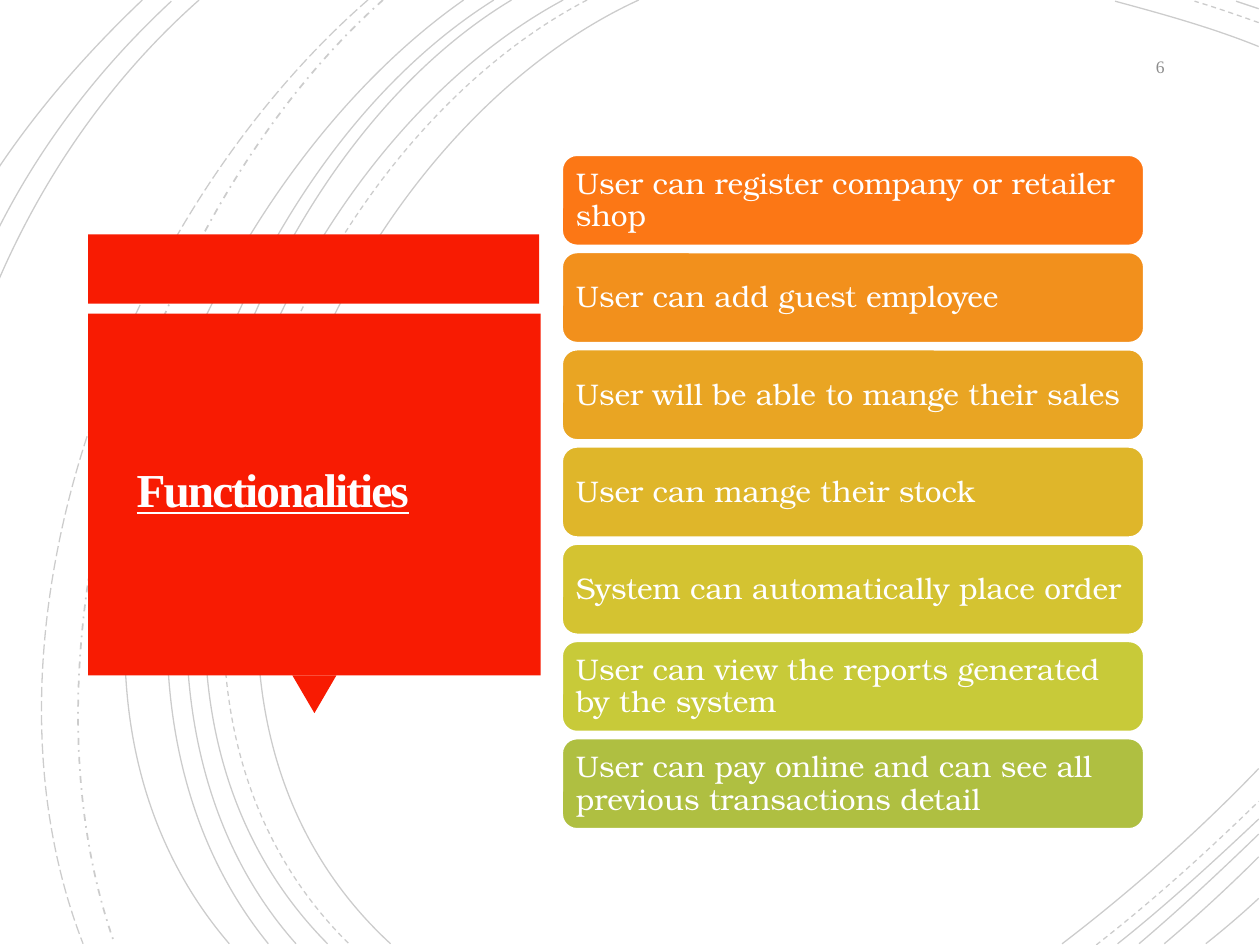
from dataclasses import dataclass
from typing import NamedTuple

from lxml import etree
from pptx import Presentation
from pptx.dml.color import RGBColor
from pptx.enum import shapes, text
from pptx.oxml import ns
from pptx.util import Inches, Pt


@dataclass(frozen=True)
class Theme:
    red: str = "F81B02"
    white: str = "FFFFFF"
    title: str = "FFFEFF"
    gray: str = "8C8C8C"
    arc: str = "000000"
    serif: str = "Times New Roman"
    body: str = "TeX Gyre Bonum"
    big: int = 27
    mid: int = 17
    small: int = 10


class Arc(NamedTuple):
    nodes: tuple  # start, two controls, end
    dash: str = "solid"
    width: float = 0.75


class Box(NamedTuple):
    kind: int
    left: float
    top: float
    width: float
    height: float
    turn: int = 0


class Card(NamedTuple):
    words: str
    fill: str


THEME = Theme()
KIND = shapes.MSO_SHAPE

ARCS = [
    Arc(((5.07, 0), (2.56, 1.15), (0.83, 5.4), (3.1, 7.49))),
    Arc(((9.99, 0.37), (9.62, 0.22), (9.22, 0.11), (8.85, 0.01))),
    Arc(((8.43, 7.49), (8.98, 7.07), (9.51, 6.6), (9.99, 6.1))),
    Arc(((4.66, 0), (2.26, 1.25), (0.63, 5.38), (2.77, 7.49)), "dash"),
    Arc(((9.99, 0.18), (9.82, 0.12), (9.65, 0.06), (9.48, 0.01)), "dash"),
    Arc(((8.7, 7.5), (9.15, 7.15), (9.58, 6.76), (9.99, 6.36)), "dash"),
    Arc(((4.47, 0), (2.11, 1.27), (0.5, 5.37), (2.6, 7.49))),
    Arc(((9.99, 0.07), (9.93, 0.05), (9.87, 0.03), (9.81, 0.01))),
    Arc(((8.87, 7.49), (9.26, 7.18), (9.63, 6.84), (9.99, 6.5))),
    Arc(((4.06, 0), (1.85, 1.33), (0.5, 5.41), (2.35, 7.49))),
    Arc(((9.04, 7.49), (9.37, 7.21), (9.68, 6.92), (9.99, 6.62))),
    Arc(((3.92, 0), (1.72, 1.38), (0.38, 5.34), (2.13, 7.49))),
    Arc(((9.24, 7.49), (9.5, 7.27), (9.75, 7.04), (9.99, 6.8))),
    Arc(((3.68, 0), (1.58, 1.47), (-0.07, 5.29), (1.82, 7.49))),
    Arc(((9.57, 7.49), (9.71, 7.38), (9.85, 7.26), (9.99, 7.13))),
    Arc(((3.04, 0), (1.17, 1.66), (0.06, 5.09), (0.91, 7.49)), "dashDot", 1),
    Arc(((2.92, 0), (0.98, 1.69), (-0.31, 4.99), (0.66, 7.49)), "lgDash"),
    Arc(((1.58, 0), (0.88, 0.62), (0.35, 1.39), (-0.01, 2.22))),
    Arc(((1.36, 0.01), (0.79, 0.54), (0.33, 1.14), (-0.01, 1.81))),
    Arc(((1.13, 0), (0.71, 0.4), (0.32, 0.84), (-0.01, 1.33))),
]

BANNER = [
    Box(KIND.RECTANGLE, 0.7, 1.86, 3.58, 0.55),
    Box(KIND.ISOSCELES_TRIANGLE, 2.32, 5.36, 0.35, 0.3, 180),
    Box(KIND.RECTANGLE, 0.7, 2.49, 3.59, 2.87),
]

CARDS = [
    Card("User can register company or retailer shop", "FC7715"),
    Card("User can add guest employee", "F2901C"),
    Card("User will be able to mange their sales", "E9A523"),
    Card("User can mange their stock", "DFB62A"),
    Card("System can automatically place order", "D4C331"),
    Card("User can view the reports generated by the system", "C8CA39"),
    Card("User can pay online and can see all previous transactions detail", "AFBF41"),
]


def tint(hue: str) -> RGBColor:
    return RGBColor.from_string(hue)


def apply(item, values: dict) -> None:
    for name, value in values.items():
        setattr(item, name, value)


def draw_arc(slide, arc: Arc) -> None:
    first, *rest = [tuple(map(Inches, node)) for node in arc.nodes]
    pen = slide.shapes.build_freeform(*first)
    pen.add_line_segments(rest, close=False)
    shape = pen.convert_to_shape()
    shape.shadow.inherit = False
    shape.fill.background()
    # Turn the three segments into one cubic curve
    route = shape.element.spPr.find(".//" + ns.qn("a:path"))
    legs = route.findall(ns.qn("a:lnTo"))
    curve = etree.SubElement(route, ns.qn("a:cubicBezTo"))
    for leg in legs:
        curve.append(leg[0])
        route.remove(leg)
    line = shape.line
    line.width = Pt(arc.width)
    line.color.rgb = tint(THEME.arc)
    ln = shape.element.spPr.find(ns.qn("a:ln"))
    hue = ln.find(".//" + ns.qn("a:srgbClr"))
    etree.SubElement(hue, ns.qn("a:alpha"), val="20000")
    etree.SubElement(ln, ns.qn("a:prstDash"), val=arc.dash)


def draw_box(slide, box: Box, fill: str):
    area = map(Inches, (box.left, box.top, box.width, box.height))
    shape = slide.shapes.add_shape(box.kind, *area)
    shape.rotation = box.turn
    shape.shadow.inherit = False
    shape.fill.solid()
    shape.fill.fore_color.rgb = tint(fill)
    shape.line.fill.background()
    return shape


def add_text(slide, area: tuple, words: str, hue: str, font: dict, para: dict, inset: tuple):
    frame = slide.shapes.add_textbox(*map(Inches, area)).text_frame
    sides = ("margin_left", "margin_top", "margin_right", "margin_bottom")
    apply(frame, dict(zip(sides, map(Inches, inset))))
    apply(frame, {"word_wrap": True, "vertical_anchor": text.MSO_ANCHOR.MIDDLE})
    line = frame.paragraphs[0]
    apply(line, para)
    run = line.add_run()
    run.text = words
    apply(run.font, font)
    run.font.color.rgb = tint(hue)
    return run


def main() -> None:
    deck = Presentation()
    apply(deck, {"slide_width": Inches(10), "slide_height": Inches(7.5)})
    slide = deck.slides.add_slide(deck.slide_layouts[6])
    align = text.PP_ALIGN

    # Background arcs
    for arc in ARCS:
        draw_arc(slide, arc)

    # Red banner with title
    for box in BANNER:
        draw_box(slide, box, THEME.red)
    head = {"name": THEME.serif, "size": Pt(THEME.big), "bold": True, "underline": True}
    run = add_text(slide, (0.73, 2.57, 2.87, 2.69), "Functionalities", THEME.title, head,
                   {"alignment": align.CENTER, "line_spacing": 0.85}, (0.25,) * 4)
    run.font._element.set("spc", "-110")

    # Slide number
    add_text(slide, (8.59, 0.35, 0.75, 0.35), "6", THEME.gray,
             {"name": THEME.serif, "size": Pt(THEME.small)},
             {"alignment": align.RIGHT, "space_after": Pt(6)}, (0.1, 0.05, 0.1, 0.05))

    # Function cards
    font = {"name": THEME.body, "size": Pt(THEME.mid)}
    para = {"alignment": align.LEFT, "line_spacing": 0.9}
    first, step = 1.23, 4.63 / (len(CARDS) - 1)
    for i, card in enumerate(CARDS):
        top = first + i * step
        box = Box(KIND.ROUNDED_RECTANGLE, 4.46, top, 4.62, 0.72)
        shape = draw_box(slide, box, card.fill)
        shape.line.color.rgb = tint(THEME.white)
        shape.line.width = Pt(1.25)
        add_text(slide, (4.5, top + 0.04, 4.55, 0.65), card.words, THEME.white,
                 font, para, (0.07,) * 4)

    deck.save("out.pptx")


if __name__ == "__main__":
    main()
